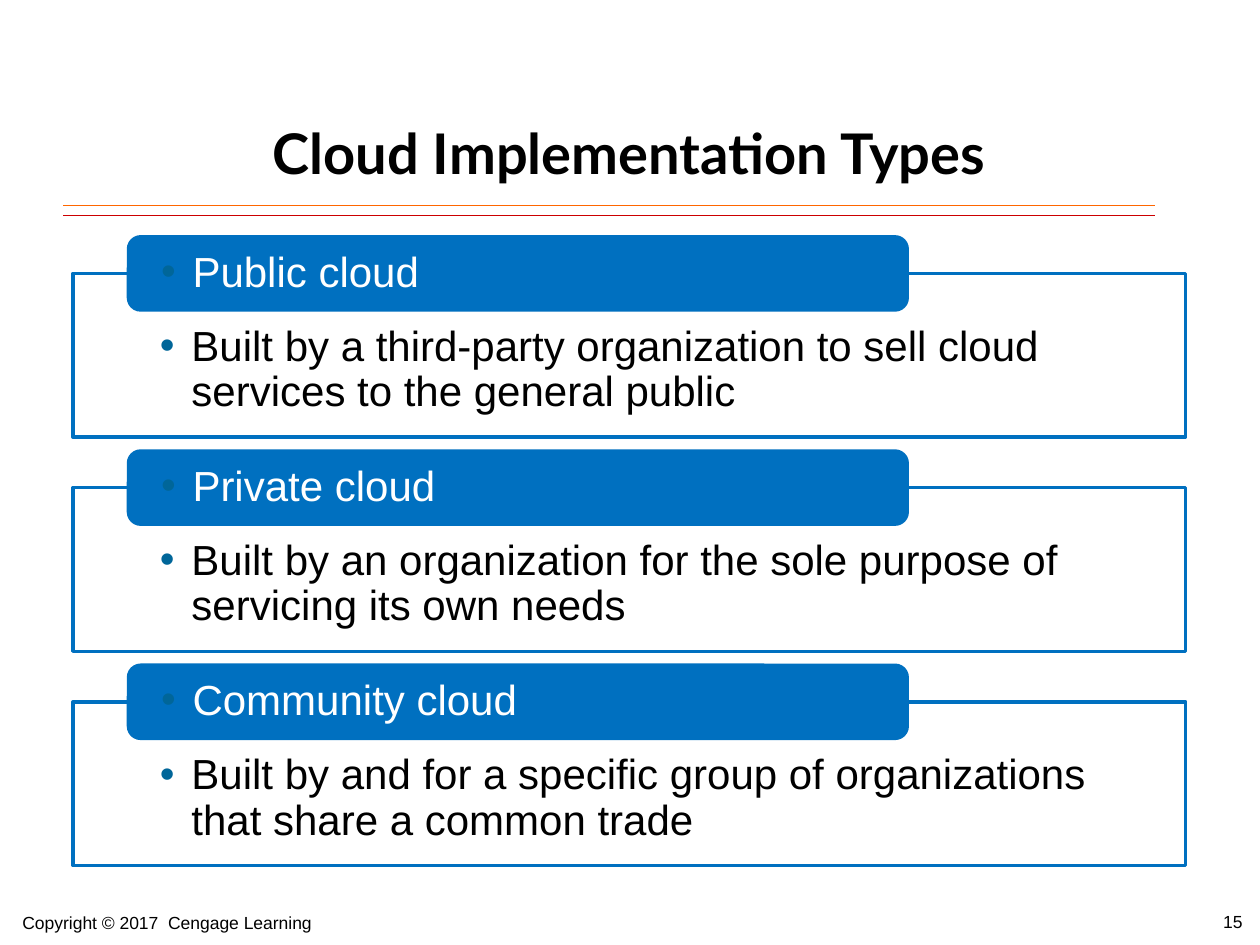
from lxml.etree import SubElement
from pptx import Presentation
from pptx.dml.color import RGBColor
from pptx.enum.shapes import MSO_CONNECTOR, MSO_SHAPE
from pptx.enum.text import MSO_ANCHOR, PP_ALIGN
from pptx.oxml.ns import qn
from pptx.util import Inches, Pt

BLUE, DOT = "0070C0", "006699"
TOP, STEP = 1.88, 1.7
TYPES = [
    ("Public cloud",
     "Built by a third-party organization to sell cloud services to the general public"),
    ("Private cloud",
     "Built by an organization for the sole purpose of servicing its own needs"),
    ("Community cloud",
     "Built by and for a specific group of organizations that share a common trade"),
]

TITLE = {"name": "Lato", "size": Pt(32), "bold": True}
BODY = {"name": "Arial", "size": Pt(24)}
SMALL = {"name": "Arial", "size": Pt(10)}


def color(code):
    return RGBColor.from_string(code)


def apply(item, values):
    for key, value in values.items():
        setattr(item, key, value)


def write(shape, text, style, ink="000000", align=PP_ALIGN.LEFT,
          anchor=MSO_ANCHOR.TOP, pad=(0.1, 0.05, 0.1, 0.05), bullet=False):
    frame = shape.text_frame
    sides = ("margin_left", "margin_top", "margin_right", "margin_bottom")
    apply(frame, {"word_wrap": True, "vertical_anchor": anchor})
    apply(frame, dict(zip(sides, map(Inches, pad))))
    para = frame.paragraphs[0]
    para.text = text
    para.alignment = align
    if bullet:
        add_bullet(para)
    apply(para.font, style)
    para.font.color.rgb = color(ink)


def add_bullet(para):
    para.line_spacing = 0.9
    props = para._p.get_or_add_pPr()
    props.set("marL", str(Inches(0.25)))
    props.set("indent", str(Inches(-0.25)))
    tint = SubElement(props, qn("a:buClr"))
    SubElement(tint, qn("a:srgbClr")).set("val", DOT)
    SubElement(props, qn("a:buFont")).set("typeface", "Arial")
    SubElement(props, qn("a:buChar")).set("char", "•")


def add_text(slide, box, text, style, **extra):
    shape = slide.shapes.add_textbox(*map(Inches, box))
    write(shape, text, style, **extra)


def add_box(slide, kind, box, fill):
    shape = slide.shapes.add_shape(kind, *map(Inches, box))
    shape.shadow.inherit = False
    shape.fill.solid()
    shape.fill.fore_color.rgb = color(fill)
    shape.line.color.rgb = color(BLUE)
    shape.line.width = Pt(2)
    return shape


def add_rule(slide, y, ink):
    line = slide.shapes.add_connector(
        MSO_CONNECTOR.STRAIGHT, Inches(0.5), Inches(y), Inches(9.17), Inches(y))
    line.line.color.rgb = color(ink)
    line.line.width = Pt(0.75)
    SubElement(line._element.spPr, qn("a:effectLst"))


def add_type(slide, top, head, note):
    # Outlined panel, with its heading across the top edge
    panel = add_box(slide, MSO_SHAPE.RECTANGLE, (0.58, top + 0.29, 8.83, 1.3), "FFFFFF")
    tint = panel.fill._xPr.find(qn("a:solidFill"))[0]
    SubElement(tint, qn("a:alpha")).set("val", "90000")
    write(panel, note, BODY, pad=(0.69, 0.41, 0.69, 0.19), bullet=True)
    label = add_box(slide, MSO_SHAPE.ROUNDED_RECTANGLE, (1.02, top, 6.18, 0.58), BLUE)
    write(label, head, BODY, ink="FFFFFF", anchor=MSO_ANCHOR.MIDDLE,
          pad=(0.23, 0, 0.23, 0), bullet=True)


def main():
    deck = Presentation()
    deck.slide_width, deck.slide_height = Inches(10), Inches(7.5)
    slide = deck.slides.add_slide(deck.slide_layouts[6])

    # Title and double rule
    add_rule(slide, 1.71, "CC0000")
    add_rule(slide, 1.63, "FF6600")
    add_text(slide, (1.62, 0.58, 6.75, 1.25), "Cloud Implementation Types", TITLE,
             align=PP_ALIGN.CENTER, anchor=MSO_ANCHOR.MIDDLE)

    # Cloud types
    for row, (head, note) in enumerate(TYPES):
        add_type(slide, TOP + row * STEP, head, note)

    # Footer
    add_text(slide, (0.08, 7.19, 3.17, 0.25), "Copyright © 2017  Cengage Learning", SMALL)
    add_text(slide, (9.61, 7.18, 0.39, 0.25), "15", SMALL)

    deck.save("out.pptx")


if __name__ == "__main__":
    main()
